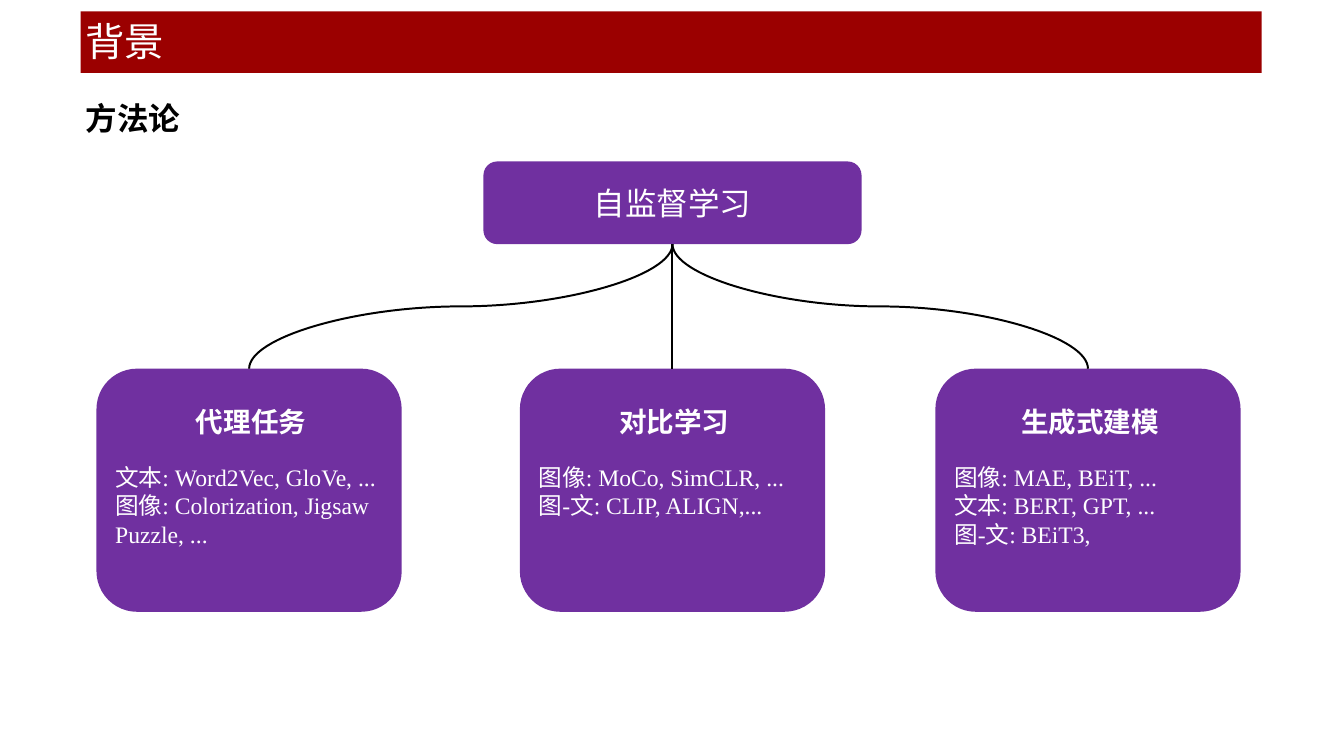
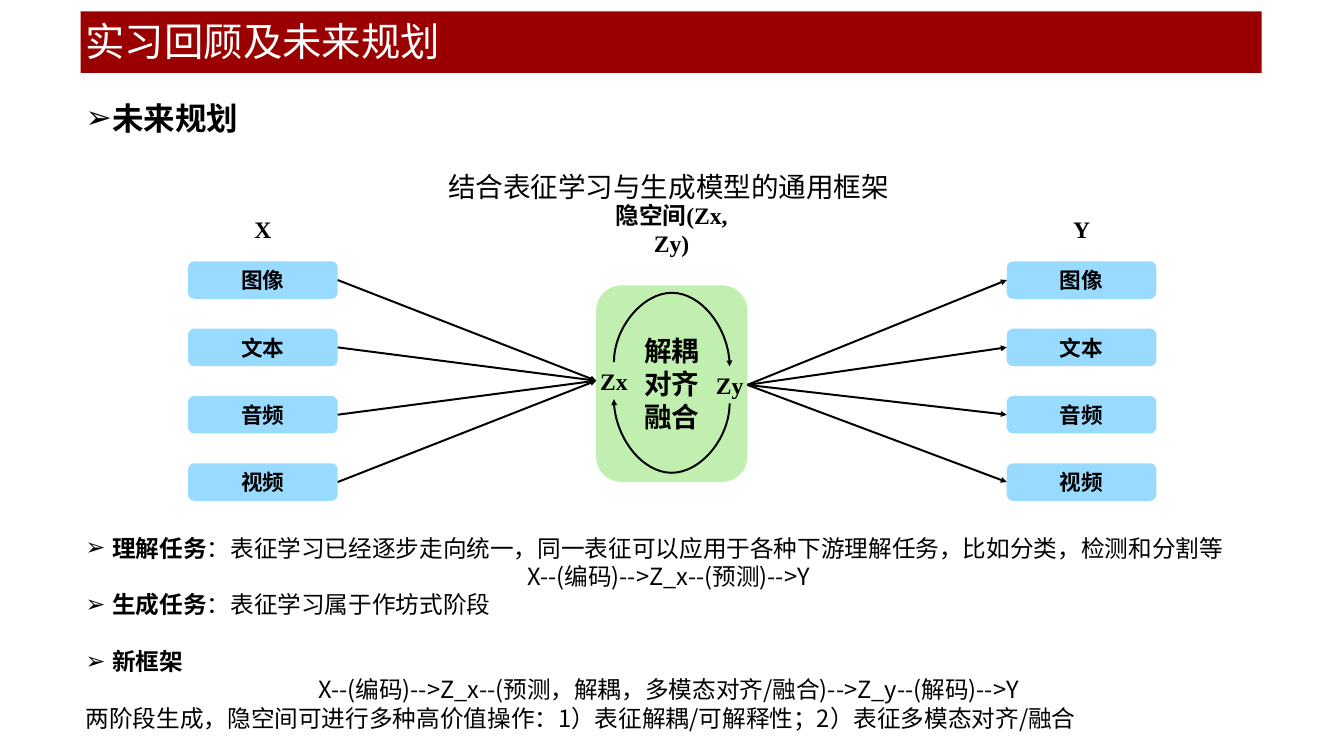
from lxml import etree
from pptx import Presentation
from pptx.dml.color import RGBColor
from pptx.enum import shapes as kinds, text as styles
from pptx.oxml.ns import qn
from pptx.util import Pt

WHITE = RGBColor(0xFF, 0xFF, 0xFF)
BLACK = RGBColor(0, 0, 0)
CRIMSON = RGBColor(0x9B, 0, 0)
PURPLE = RGBColor(0x70, 0x30, 0xA0)
SKY = RGBColor(0x99, 0xDA, 0xFF)
GREEN = RGBColor(0xC0, 0xEF, 0xAF)
SANS, SERIF = "Noto Sans CJK SC", "Times New Roman"
LEFT, CENTER = styles.PP_ALIGN.LEFT, styles.PP_ALIGN.CENTER
TOP, MIDDLE = styles.MSO_ANCHOR.TOP, styles.MSO_ANCHOR.MIDDLE
ROUNDED = kinds.MSO_SHAPE.ROUNDED_RECTANGLE

BAND = (82, 11.5, 1199.5, 62.5)
TITLE = (80, 12, 1198, 59)
BODY = (80, 97, 1198, 671)
INDENT = 27

ROOT = "自监督学习"
METHODS = [
    (98, "代理任务", ["文本: Word2Vec, GloVe, ...", "图像: Colorization, Jigsaw Puzzle, ..."]),
    (528, "对比学习", ["图像: MoCo, SimCLR, ...", "图-文: CLIP, ALIGN,..."]),
    (950, "生成式建模", ["图像: MAE, BEiT, ...", "文本: BERT, GPT, ...", "图-文: BEiT3,"]),
]
METHOD_TOP, METHOD_WIDTH, METHOD_HEIGHT = 374.5, 310, 247

MODALITIES = ["图像", "文本", "音频", "视频"]
MODALITY_TOP, MODALITY_STEP = 265.5, 68.4
MODALITY_WIDTH, MODALITY_HEIGHT = 152, 38
INPUT_LEFT, OUTPUT_LEFT = 191, 1022.5
HEADING_TOP, HEADING_HEIGHT = 214, 37
LATENT = (605.5, 290, 153.5, 199.5)
CODE_WIDTH, CODE_HEIGHT, CODE_BULGE = 36, 37.5, 70.5
ZX_TOP, ZY_TOP = 368, 372.25
CORE = ["解耦", "对齐", "融合"]
PLAN = [
    dict(lead="未来规划", size=32, bullet="➢"),
    dict(text="结合表征学习与生成模型的通用框架", size=28, align=CENTER, gap=33.5),
    dict(lead="理解任务", bullet="➢", gap=336,
         text="：表征学习已经逐步走向统一，同一表征可以应用于各种下游理解任务，比如分类，检测和分割等"),
    dict(text="X--(编码)-->Z_x--(预测)-->Y", align=CENTER),
    dict(lead="生成任务", text="：表征学习属于作坊式阶段", bullet="➢"),
    dict(lead="新框架", bullet="➢", gap=28.8),
    dict(text="X--(编码)-->Z_x--(预测，解耦，多模态对齐/融合)-->Z_y--(解码)-->Y", align=CENTER),
    dict(text="两阶段生成，隐空间可进行多种高价值操作：1）表征解耦/可解释性；2）表征多模态对齐/融合"),
]


def points(*lengths):
    return [Pt(length) for length in lengths]


def write(frame, lines, anchor=MIDDLE, insets=(0, 0, 0, 0), **shared):
    frame.word_wrap = True
    frame.auto_size = styles.MSO_AUTO_SIZE.NONE
    frame.vertical_anchor = anchor
    (frame.margin_left, frame.margin_top,
     frame.margin_right, frame.margin_bottom) = points(*insets)
    base = dict(lead="", text="", size=24, font=SANS, color=BLACK, bold=False,
                align=LEFT, gap=0, bullet=None)
    for number, line in enumerate(lines):
        look = {**base, **shared, **(line if isinstance(line, dict) else dict(text=line))}
        paragraph = frame.add_paragraph() if number else frame.paragraphs[0]
        props = paragraph._p.get_or_add_pPr()
        indent = Pt(INDENT) if look["bullet"] else 0
        props.set("marL", str(indent))
        props.set("indent", str(-indent))
        if look["bullet"]:
            etree.SubElement(props, qn("a:buChar")).set("char", look["bullet"])
        else:
            etree.SubElement(props, qn("a:buNone"))
        paragraph.alignment = look["align"]
        paragraph.space_before = Pt(look["gap"])
        paragraph.space_after = Pt(0)
        paragraph.line_spacing = Pt(look["size"] * 1.2)
        for words, bold in ((look["lead"], True), (look["text"], look["bold"])):
            if words:
                run = paragraph.add_run()
                run.text = words
                run.font.size = Pt(look["size"])
                run.font.bold = bold
                run.font.name = look["font"]
                run.font.color.rgb = look["color"]
                etree.SubElement(run.font._element, qn("a:ea")).set("typeface", SANS)


def block(slide, place, fill, lines=(), outline=ROUNDED, **look):
    shape = slide.shapes.add_shape(outline, *points(*place))
    shape.shadow.inherit = False
    shape.fill.solid()
    shape.fill.fore_color.rgb = fill
    shape.line.fill.background()
    if lines:
        write(shape.text_frame, lines, **look)
    return shape


def label(slide, place, words, **look):
    box = slide.shapes.add_textbox(*points(*place))
    write(box.text_frame, [words], bold=True, align=CENTER, **look)
    return box


def stroke(connector, arrow):
    connector.line.color.rgb = BLACK
    connector.line.width = Pt(2)
    props = connector._element.spPr
    if arrow:
        etree.SubElement(props.find(qn("a:ln")), qn("a:tailEnd")).set("type", "triangle")
    etree.SubElement(props, qn("a:effectLst"))


def straight(slide, source, source_site, target, target_site, arrow=True):
    link = slide.shapes.add_connector(kinds.MSO_CONNECTOR.STRAIGHT, 0, 0, 0, 0)
    link.begin_connect(source, source_site)
    link.end_connect(target, target_site)
    stroke(link, arrow)


def curve(slide, start, end, turn=90, bulge=None):
    sign = 1 if turn == 90 else -1
    middle_x, middle_y = (start[0] + end[0]) / 2, (start[1] + end[1]) / 2
    unturned = [length for x, y in (start, end)
                for length in (middle_x + sign * (y - middle_y),
                               middle_y - sign * (x - middle_x))]
    link = slide.shapes.add_connector(kinds.MSO_CONNECTOR.CURVE, *points(*unturned))
    link.rotation = turn
    if bulge:
        geometry = link._element.spPr.find(qn("a:prstGeom"))
        guides = geometry.find(qn("a:avLst"))
        if guides is None:
            guides = etree.SubElement(geometry, qn("a:avLst"))
        guide = etree.SubElement(guides, qn("a:gd"))
        guide.set("name", "adj1")
        guide.set("fmla", f"val {round(-bulge / abs(end[1] - start[1]) * 100000)}")
    stroke(link, arrow=bool(bulge))


def prepare_layout(deck, layout):
    for placeholder, place in zip(layout.placeholders, (TITLE, BODY)):
        (placeholder.left, placeholder.top,
         placeholder.width, placeholder.height) = points(*place)


def add_page(deck, layout, title, body):
    slide = deck.slides.add_slide(layout)
    write(slide.shapes.title.text_frame, [title], insets=(7, 3.5, 7, 3.5),
          size=40, font=SERIF, color=WHITE)
    write(slide.placeholders[1].text_frame, body, anchor=TOP, insets=(7, 3.5, 7, 3.5))
    return slide


def draw_methods(slide):
    root = block(slide, (491, 164, 384, 84), PURPLE, [ROOT], size=32, color=WHITE, align=CENTER)
    root_foot = (683, 248)
    for left, name, examples in METHODS:
        lines = [dict(lead=name, size=28, align=CENTER)]
        lines += [dict(text=example, gap=0 if number else 25)
                  for number, example in enumerate(examples)]
        card = block(slide, (left, METHOD_TOP, METHOD_WIDTH, METHOD_HEIGHT), PURPLE, lines,
                     anchor=TOP, insets=(7, 25, 3, 0), font=SERIF, color=WHITE)
        card_head = (left + METHOD_WIDTH / 2, METHOD_TOP)
        if card_head[0] == root_foot[0]:
            straight(slide, root, 2, card, 0, arrow=False)
        else:
            curve(slide, root_foot, card_head)


def draw_framework(slide):
    block(slide, LATENT, GREEN, CORE, size=28, bold=True, align=CENTER)
    label(slide, (607, HEADING_TOP, 150, HEADING_HEIGHT), "隐空间(Zx, Zy)", font=SERIF)
    zx_left = LATENT[0]
    zy_left = LATENT[0] + LATENT[2] - CODE_WIDTH
    zx = label(slide, (zx_left, ZX_TOP, CODE_WIDTH, CODE_HEIGHT), "Zx", font=SERIF)
    zy = label(slide, (zy_left, ZY_TOP, CODE_WIDTH, CODE_HEIGHT), "Zy", font=SERIF)
    zx_center, zy_center = zx_left + CODE_WIDTH / 2, zy_left + CODE_WIDTH / 2
    curve(slide, (zx_center, ZX_TOP), (zy_center, ZY_TOP), 270, CODE_BULGE)
    curve(slide, (zy_center, ZY_TOP + CODE_HEIGHT), (zx_center, ZX_TOP + CODE_HEIGHT),
          90, CODE_BULGE)
    for heading, left in (("X", INPUT_LEFT), ("Y", OUTPUT_LEFT)):
        label(slide, (left, HEADING_TOP, MODALITY_WIDTH, HEADING_HEIGHT), heading, font=SERIF)
        for row, name in enumerate(MODALITIES):
            place = (left, MODALITY_TOP + row * MODALITY_STEP, MODALITY_WIDTH, MODALITY_HEIGHT)
            modality = block(slide, place, SKY, [name], size=22, bold=True, align=CENTER)
            if heading == "X":
                straight(slide, modality, 3, zx, 1)
            else:
                straight(slide, zy, 3, modality, 1)


def main():
    deck = Presentation()
    deck.slide_width, deck.slide_height = points(1365, 768)
    layout = deck.slide_layouts[1]
    prepare_layout(deck, layout)
    background = add_page(deck, layout, "背景", [dict(lead="方法论", size=32)])
    band = block(background, BAND, CRIMSON, outline=kinds.MSO_SHAPE.RECTANGLE)
    layout.shapes.element.insert(2, band.element)
    draw_methods(background)
    draw_framework(add_page(deck, layout, "实习回顾及未来规划", PLAN))
    deck.save("out.pptx")


if __name__ == "__main__":
    main()
